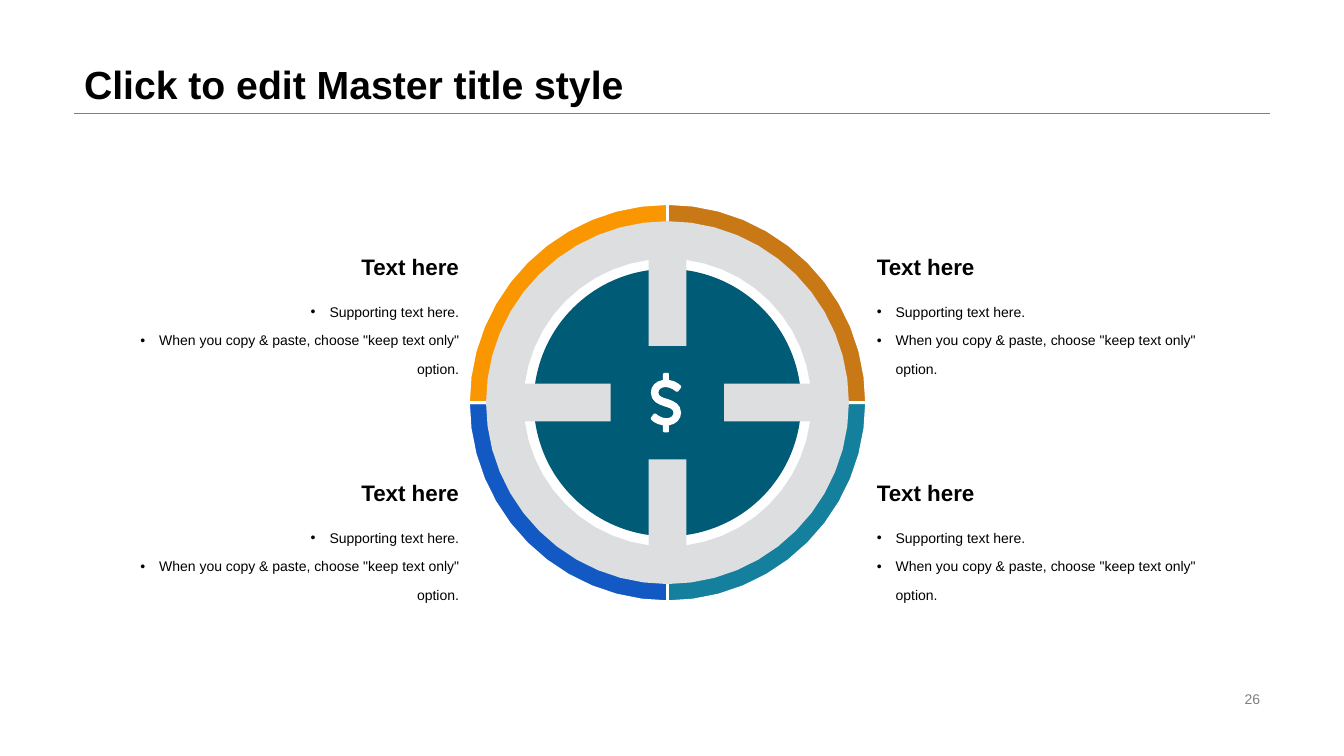
import math
from dataclasses import dataclass

import pptx
import pptx.dml.color
import pptx.enum.shapes
import pptx.enum.text
import pptx.oxml
import pptx.oxml.ns
import pptx.util
from lxml import etree

Pt = pptx.util.Pt
Align = pptx.enum.text.PP_ALIGN
Anchor = pptx.enum.text.MSO_ANCHOR
ARC_STEP = 7.5


@dataclass(frozen=True)
class Theme:
    font: str = "Arial"
    ink: str = "000000"
    muted: str = "808080"
    white: str = "FFFFFF"
    hub: str = "005C76"
    frame: str = "DCDEE0"
    # Clockwise from the lower right
    quadrants: tuple = ("14809E", "1359C3", "FA9600", "C97816")
    title_size: float = 28
    heading_size: float = 16
    body_size: float = 10


def rgb(code):
    return pptx.dml.color.RGBColor.from_string(code)


def arc(center, radius, start, end):
    """Points along an arc, in degrees clockwise from the right."""
    steps = max(1, round(abs(end - start) / ARC_STEP))
    angles = [math.radians(start + (end - start) * i / steps) for i in range(steps + 1)]
    return [(center[0] + radius * math.cos(a), center[1] + radius * math.sin(a)) for a in angles]


def bezier(p0, p1, p2, p3, steps=4):
    """Points along a cubic curve, without its first point."""
    points = []
    for i in range(1, steps + 1):
        t = i / steps
        weights = ((1 - t) ** 3, 3 * t * (1 - t) ** 2, 3 * t * t * (1 - t), t ** 3)
        points.append(tuple(sum(w * p[axis] for w, p in zip(weights, (p0, p1, p2, p3)))
                            for axis in (0, 1)))
    return points


class SlideBuilder:
    def __init__(self, slide, theme):
        self.slide = slide
        self.theme = theme

    def style_text(self, paragraph, size, color, bold=False, align=Align.LEFT):
        paragraph.alignment = align
        for run in paragraph.runs:
            run.font.name = self.theme.font
            run.font.size = Pt(size)
            run.font.bold = bold
            run.font.color.rgb = rgb(color)

    def style_shape(self, shape, fill, outline=None):
        shape.shadow.inherit = False
        shape.fill.solid()
        shape.fill.fore_color.rgb = rgb(fill)
        if outline:
            shape.line.color.rgb = rgb(outline)
            shape.line.width = Pt(2)
        else:
            shape.line.fill.background()

    def title(self, text, left, top, width, height):
        title = self.slide.shapes.title
        title.left, title.top, title.width, title.height = map(Pt, (left, top, width, height))
        frame = title.text_frame
        frame.text = text
        frame.auto_size = pptx.enum.text.MSO_AUTO_SIZE.NONE
        frame.vertical_anchor = Anchor.BOTTOM
        frame.paragraphs[0].line_spacing = 0.9
        self.style_text(frame.paragraphs[0], self.theme.title_size, self.theme.ink, bold=True)

    def rule(self, left, right, y):
        line = self.slide.shapes.add_connector(
            pptx.enum.shapes.MSO_CONNECTOR.STRAIGHT, Pt(left), Pt(y), Pt(right), Pt(y))
        line.line.color.rgb = rgb(self.theme.muted)
        line.line.width = Pt(0.25)
        etree.SubElement(line._element.spPr, pptx.oxml.ns.qn("a:effectLst"))

    def text(self, text, left, top, width, height, size, color,
             bold=False, align=Align.LEFT, anchor=Anchor.MIDDLE):
        box = self.slide.shapes.add_textbox(Pt(left), Pt(top), Pt(width), Pt(height))
        frame = box.text_frame
        frame.word_wrap = True
        frame.vertical_anchor = anchor
        frame.text = text
        for paragraph in frame.paragraphs:
            self.style_text(paragraph, size, color, bold, align)
        return frame

    def bullets(self, items, left, top, width, height, align):
        frame = self.text("\n".join(items), left, top, width, height, self.theme.body_size,
                          self.theme.ink, align=align, anchor=Anchor.TOP)
        for paragraph in frame.paragraphs:
            paragraph.line_spacing = 1.7
            properties = paragraph._p.get_or_add_pPr()
            properties.set("marL", str(Pt(13.5)))
            properties.set("indent", str(Pt(-13.5)))
            etree.SubElement(properties, pptx.oxml.ns.qn("a:buFont"), typeface=self.theme.font)
            etree.SubElement(properties, pptx.oxml.ns.qn("a:buChar"), char="•")

    def disc(self, center, radius, fill):
        disc = self.slide.shapes.add_shape(
            pptx.enum.shapes.MSO_SHAPE.OVAL, Pt(center[0] - radius), Pt(center[1] - radius),
            Pt(2 * radius), Pt(2 * radius))
        self.style_shape(disc, fill)

    def outline(self, contours, fill, outline=None):
        contours = [[(Pt(x), Pt(y)) for x, y in contour] for contour in contours]
        builder = self.slide.shapes.build_freeform(*contours[0][0])
        for index, contour in enumerate(contours):
            if index:
                builder.move_to(*contour[0])
            builder.add_line_segments(contour[1:], close=True)
        self.style_shape(builder.convert_to_shape(), fill, outline)


def crosshair_opening(center, radius, half_bar, bar_end):
    """Opening inside the frame, notched by four bars pointing at the centre."""
    edge = math.degrees(math.asin(half_bar / radius))
    points = []
    for start in (0, 90, 180, 270):
        points += arc(center, radius, start + edge, start + 90 - edge)
        turn = math.radians(start + 90)
        cos, sin = math.cos(turn), math.sin(turn)
        points += [(center[0] + bar_end * cos - side * sin, center[1] + bar_end * sin + side * cos)
                   for side in (-half_bar, half_bar)]
    return points


def dollar_sign(center, unit):
    """Lower half of the sign, followed by the same half turned by 180 degrees."""
    steps = [
        [(3, 28.5)], [(2, 29.5)], [(-2, 29.5)], [(-3, 28.5)], [(-3, 22.5)],
        [(-11, 21.5), (-15, 16.5), (-15, 16.5)], [(-15, 15)], [(-12, 11)], [(-10, 11)],
        [(-10, 11), (-5, 15.5), (0.5, 15.5)], [(4, 15.5), (7.5, 13.5), (7.5, 10)],
        [(7.5, 6), (3, 5), (-2, 3.5)], [(-8, 1.5), (-15, -1.5), (-15, -10)],
        [(-15, -16.5), (-10, -21.5), (-3, -22.5)],
    ]
    half = [(3, 22.5)]
    for step in steps:
        half += bezier(half[-1], *step) if len(step) == 3 else step
    whole = half[:-1] + [(-x, -y) for x, y in half[:-1]]
    return [(center[0] + unit * x, center[1] + unit * y) for x, y in whole]


def main():
    theme = Theme()
    deck = pptx.Presentation()
    deck.slide_width, deck.slide_height = Pt(960), Pt(540)
    page = SlideBuilder(deck.slides.add_slide(deck.slide_layouts[5]), theme)

    # Title, rule and page number
    page.title("Click to edit Master title style", 52.8, 0, 854.4, 81)
    page.rule(52.8, 907.2, 81)
    page.text("26", 678.2, 491, 229, 16.6, theme.body_size, theme.muted, align=Align.RIGHT)

    # Hub with the dollar sign
    center = (476.8, 287.6)
    page.disc(center, 95.5, theme.hub)
    page.outline([dollar_sign((475.7, 287.6), 0.72)], theme.white)

    # Coloured quadrant ring
    for index, color in enumerate(theme.quadrants):
        start = 90 * index
        band = arc(center, 142.2, start, start + 90) + arc(center, 121.5, start + 90, start)
        page.outline([band], color, theme.white)

    # Grey crosshair frame
    page.outline([arc(center, 129.6, 0, 360 - ARC_STEP),
                  crosshair_opening(center, 102.8, 13.5, 40.5)], theme.frame)

    # Four captions
    supporting = ["Supporting text here.",
                  'When you copy & paste, choose "keep text only" option.']
    for left, align in ((619.2, Align.LEFT), (61.9, Align.RIGHT)):
        for top in (176.3, 337.7):
            page.text("Text here", left, top, 273, 28.8, theme.heading_size, theme.ink,
                      bold=True, align=align)
            page.bullets(supporting, left, top + 28.5, 273, 69, align)

    deck.save("out.pptx")


if __name__ == "__main__":
    main()
